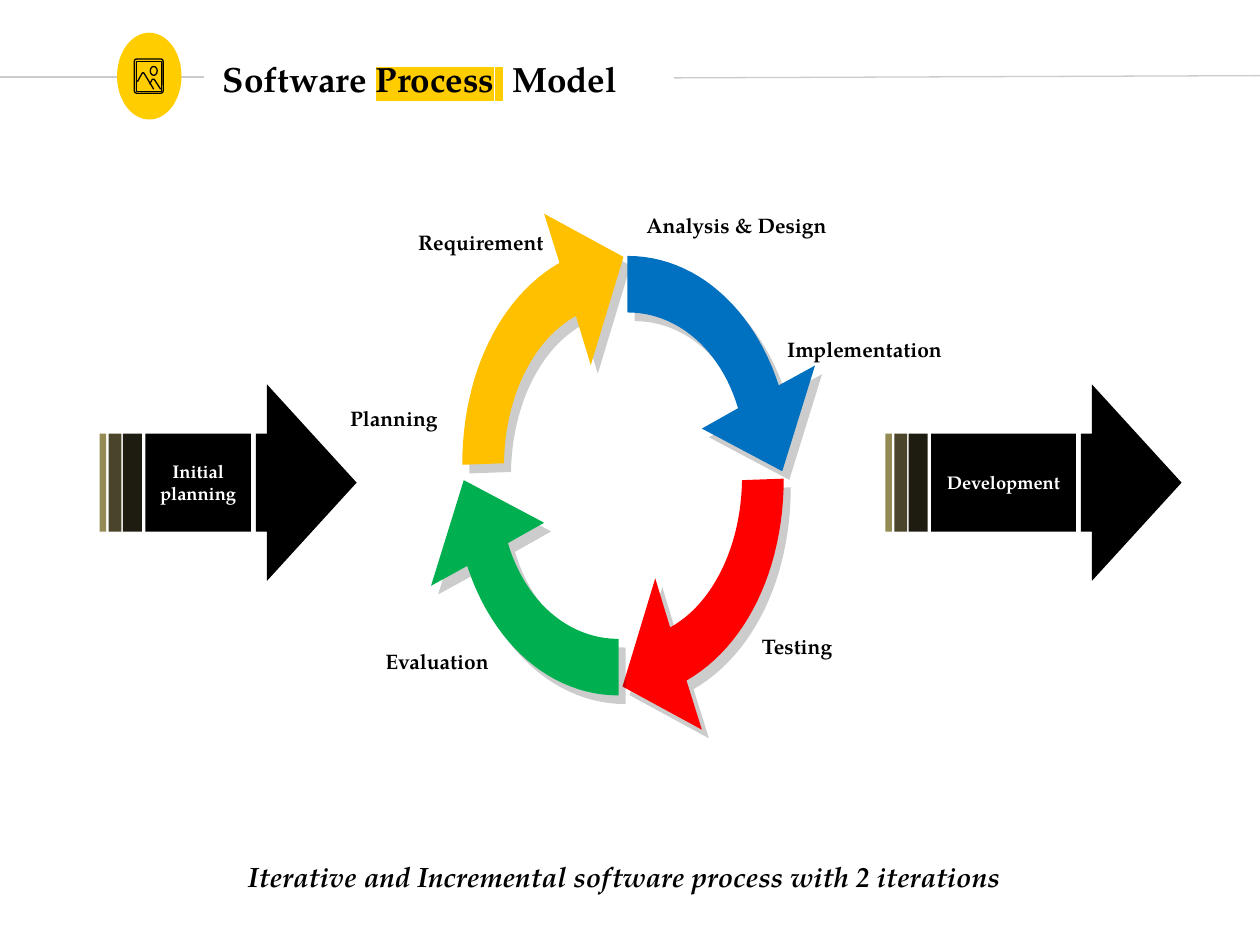
from lxml import etree
from pptx import Presentation
from pptx.dml.color import RGBColor
from pptx.enum.shapes import MSO_CONNECTOR as LINE, MSO_SHAPE as SHAPE
from pptx.enum.text import MSO_ANCHOR as ANCHOR, PP_ALIGN as ALIGN
from pptx.oxml import parse_xml
from pptx.oxml.ns import nsdecls, qn
from pptx.util import Cm, Pt

FONT = "TeX Gyre Pagella"
BLACK = RGBColor(0x00, 0x00, 0x00)
WHITE = RGBColor(0xFF, 0xFF, 0xFF)
YELLOW = RGBColor(0xFF, 0xCD, 0x00)
RULE_GREY = RGBColor(0xCC, 0xCC, 0xCC)
BLUE = RGBColor(0x00, 0x70, 0xC0)
RED = RGBColor(0xFF, 0x00, 0x00)
GREEN = RGBColor(0x00, 0xB0, 0x50)
AMBER = RGBColor(0xFF, 0xC0, 0x00)
STRIPES = [  # offset, width, colour
    (0, 0.13, RGBColor(0x94, 0x8A, 0x54)),
    (0.18, 0.26, RGBColor(0x4A, 0x45, 0x2A)),
    (0.47, 0.38, RGBColor(0x1E, 0x1C, 0x11)),
]


def add_block(kind, left, top, width, height, color):
    block = page.shapes.add_shape(kind, Cm(left), Cm(top), Cm(width), Cm(height))
    block.shadow.inherit = False
    block.fill.solid()
    block.fill.fore_color.rgb = color
    block.line.fill.background()
    return block


def style_text(box, size, color=BLACK, align=ALIGN.LEFT):
    frame = box.text_frame
    frame.word_wrap = True
    frame.vertical_anchor = ANCHOR.MIDDLE
    para = frame.paragraphs[0]
    para.alignment = align
    for span in para.runs:
        span.font.name = FONT
        span.font.size = Pt(size)
        span.font.bold = True
        span.font.color.rgb = color


deck = Presentation()
deck.slide_width = Cm(25.4)
deck.slide_height = Cm(19.05)
page = deck.slides.add_slide(deck.slide_layouts[5])

# Header rules
for x1, y1, x2, y2 in [(13.59, 1.57, 26.52, 1.52), (-0.74, 1.55, 4.11, 1.55)]:
    rule = page.shapes.add_connector(LINE.STRAIGHT, Cm(x1), Cm(y1), Cm(x2), Cm(y2))
    rule.line.color.rgb = RULE_GREY
    rule.line.width = Pt(0.75)
    etree.SubElement(rule._element.spPr, qn("a:effectLst"))

# Badge with a landscape icon
add_block(SHAPE.OVAL, 2.36, 0.66, 1.3, 1.75, YELLOW)
icon = page.shapes.add_group_shape()
parts = []
for kind, left, top, width, height in [
    (SHAPE.ROUNDED_RECTANGLE, 2.71, 1.19, 0.58, 0.69),
    (SHAPE.RECTANGLE, 2.75, 1.24, 0.51, 0.6),
    (SHAPE.OVAL, 3.03, 1.34, 0.14, 0.18),
]:
    parts.append(icon.shapes.add_shape(kind, Cm(left), Cm(top), Cm(width), Cm(height)))
parts[0].adjustments[0] = 0.08
for peak in [
    [(3.02, 1.7), (3.07, 1.6), (3.11, 1.6), (3.24, 1.8)],
    [(2.77, 1.65), (2.87, 1.47), (2.9, 1.47), (3.1, 1.8)],
]:
    points = [(Cm(x), Cm(y)) for x, y in peak]
    builder = icon.shapes.build_freeform(*points[0])
    builder.add_line_segments(points[1:], close=False)
    parts.append(builder.convert_to_shape())
for part in parts:
    part.shadow.inherit = False
    part.fill.background()
    part.line.color.rgb = BLACK
    part.line.width = Pt(0.75)

# Title with a highlighted word
title = page.shapes.title
title.left, title.top, title.width, title.height = Cm(4.24), Cm(0.76), Cm(10.8), Cm(1.63)
para = title.text_frame.paragraphs[0]
for words in ["Software ", "Process", " ", "Model"]:
    para.add_run().text = words
style_text(title, 20)
for span in para.runs[1:3]:
    highlight = parse_xml(
        f'<a:highlight {nsdecls("a")}><a:srgbClr val="{YELLOW}"/></a:highlight>')
    span.font._element.find(qn("a:solidFill")).addnext(highlight)
para.runs[2].font._element.set("spc", "500")  # widens the highlighted gap

# Cycle arrows: outer curve, head, inner curve; each pair is a half turn apart
RIGHT_TOP = (
    [(12.65, 5.16), (14.02, 5.16), (15.19, 6.2), (15.7, 7.77)],
    [(16.43, 7.37), (15.77, 9.5), (14.15, 8.64)],
    [(14.88, 8.23), (14.53, 7.06), (13.67, 6.3), (12.65, 6.3)],
)
RIGHT_BOTTOM = (
    [(15.8, 9.65), (15.8, 11.48), (15.04, 13.03), (13.84, 13.72)],
    [(14.15, 14.71), (12.55, 13.84), (13.21, 11.66)],
    [(13.51, 12.65), (14.38, 12.17), (14.94, 11), (14.96, 9.68)],
)
STEPS = 24
for (outer, head, inner), color, turn in [
    (RIGHT_BOTTOM, RED, None),
    (RIGHT_TOP, GREEN, (25.12, 19.18)),
    (RIGHT_BOTTOM, AMBER, (25.12, 19.02)),
    (RIGHT_TOP, BLUE, None),
]:
    curves = []
    for curve in (outer, inner):
        samples = []
        for step in range(STEPS + 1):
            t = step / STEPS
            weights = [(1 - t) ** 3, 3 * t * (1 - t) ** 2, 3 * t * t * (1 - t), t ** 3]
            samples.append([sum(w * p[axis] for w, p in zip(weights, curve))
                            for axis in (0, 1)])
        curves.append(samples)
    outline = curves[0] + head + curves[1]
    if turn:
        outline = [(turn[0] - x, turn[1] - y) for x, y in outline]
    points = [(Cm(x), Cm(y)) for x, y in outline]
    builder = page.shapes.build_freeform(*points[0])
    builder.add_line_segments(points[1:], close=True)
    arrow = builder.convert_to_shape()
    arrow.fill.solid()
    arrow.fill.fore_color.rgb = color
    arrow.line.fill.background()
    arrow._element.spPr.append(parse_xml(
        f'<a:effectLst {nsdecls("a")}><a:outerShdw dist="{Pt(6.4)}" dir="{51 * 60000}" '
        'rotWithShape="0"><a:srgbClr val="000000"><a:alpha val="20000"/></a:srgbClr>'
        '</a:outerShdw></a:effectLst>'))

# Striped arrows on both sides of the cycle
for left, width, words in [(2.01, 2.13, "Initial planning"), (17.85, 2.92, "Development")]:
    head = add_block(SHAPE.RIGHT_ARROW, left + 1.02 + width, 7.75, 2.03, 3.96, BLACK)
    head.adjustments[0] = 0.5
    head.adjustments[1] = 0.89
    body = add_block(SHAPE.RECTANGLE, left + 0.92, 8.74, width, 1.98, BLACK)
    body.text_frame.text = words
    style_text(body, 10.5, WHITE, ALIGN.CENTER)
    for offset, stripe_width, color in STRIPES:
        add_block(SHAPE.RECTANGLE, left + offset, 8.74, stripe_width, 1.98, color)

# Phase labels
for words, left, top, width in [
    ("Planning", 6.81, 7.62, 2.54),
    ("Requirement", 8.18, 4.06, 3.35),
    ("Analysis & Design", 12.78, 3.73, 4.22),
    ("Implementation", 15.62, 6.22, 4.17),
    ("Testing", 15.11, 12.22, 2.54),
    ("Evaluation", 7.52, 12.52, 2.92),
]:
    label = page.shapes.add_textbox(Cm(left), Cm(top), Cm(width), Cm(1.63))
    label.text_frame.text = words
    style_text(label, 12)

# Caption
caption = page.shapes.add_textbox(Cm(4.75), Cm(17.2), Cm(16.97), Cm(0.94))
caption.text_frame.text = "Iterative and Incremental software process with 2 iterations"
style_text(caption, 16)
caption.text_frame.paragraphs[0].runs[0].font.italic = True

deck.save("out.pptx")
